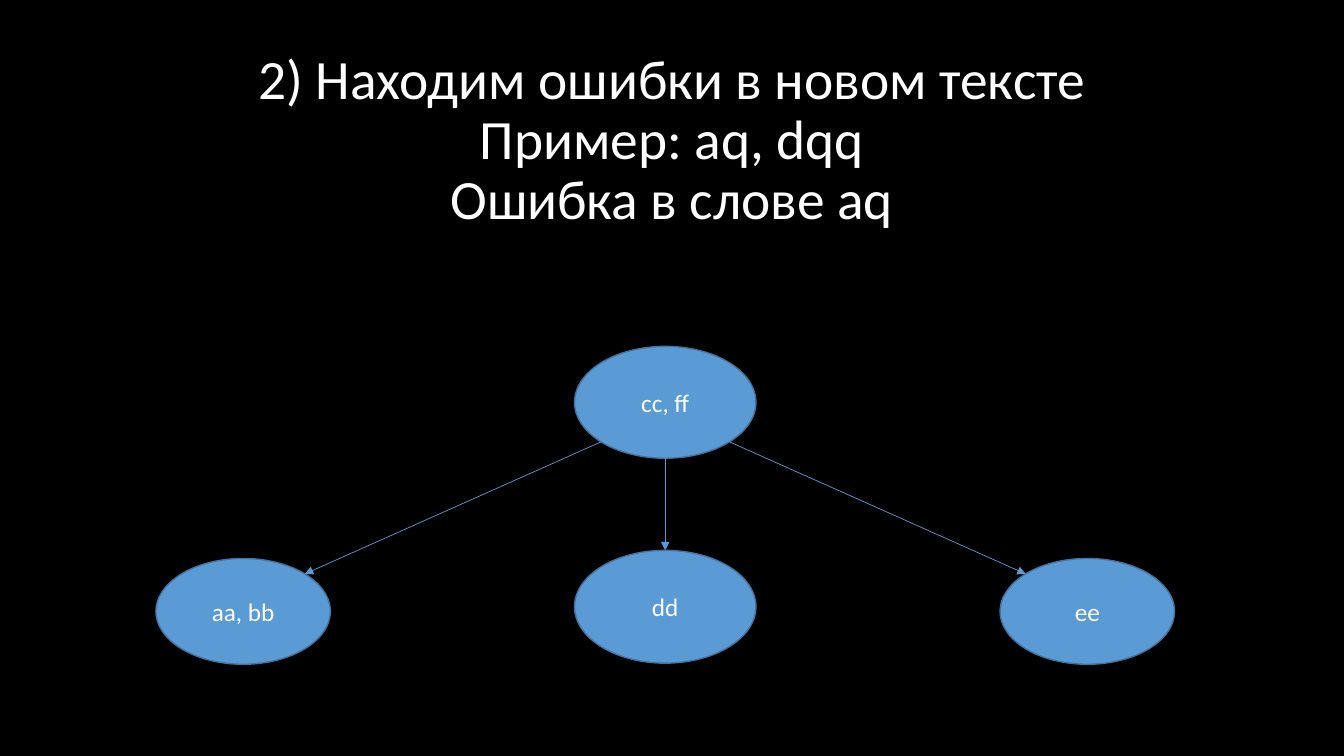
from dataclasses import dataclass
from math import sqrt

from lxml import etree
from pptx import Presentation
from pptx.dml.color import RGBColor
from pptx.enum.shapes import MSO_CONNECTOR, MSO_SHAPE
from pptx.enum.text import MSO_ANCHOR, MSO_AUTO_SIZE, PP_ALIGN
from pptx.oxml.ns import qn
from pptx.util import Pt

ELLIPSE = MSO_SHAPE.OVAL
STRAIGHT = MSO_CONNECTOR.STRAIGHT
MIDDLE = MSO_ANCHOR.MIDDLE
CENTER = PP_ALIGN.CENTER
NO_AUTOFIT = MSO_AUTO_SIZE.NONE
TITLE_ONLY = 5
DIAGONAL = sqrt(0.5)


@dataclass(frozen=True)
class Theme:
    background: RGBColor = RGBColor(0x00, 0x00, 0x00)
    text: RGBColor = RGBColor(0xFF, 0xFF, 0xFF)
    node: RGBColor = RGBColor(0x5B, 0x9B, 0xD5)
    outline: RGBColor = RGBColor(0x43, 0x73, 0x9E)
    font: str = "Calibri"
    title_size: float = 39.6
    node_size: float = 18


THEME = Theme()


def format_text(text_frame, size):
    text_frame.word_wrap = True
    text_frame.auto_size = NO_AUTOFIT
    text_frame.vertical_anchor = MIDDLE
    for paragraph in text_frame.paragraphs:
        paragraph.alignment = CENTER
        for run in paragraph.runs:
            run.font.name = THEME.font
            run.font.size = Pt(size)
            run.font.color.rgb = THEME.text


def set_title(slide, lines):
    title = slide.shapes.title
    title.left, title.top = Pt(66), Pt(49)
    title.width, title.height = Pt(828), Pt(104.4)
    title.text_frame.text = "\v".join(lines)
    title.text_frame.paragraphs[0].line_spacing = 0.9
    format_text(title.text_frame, THEME.title_size)


def add_node(slide, text, center_x, top, width, height):
    node = slide.shapes.add_shape(
        ELLIPSE, Pt(center_x - width / 2), Pt(top), Pt(width), Pt(height))
    node.shadow.inherit = False
    node.fill.solid()
    node.fill.fore_color.rgb = THEME.node
    node.line.color.rgb = THEME.outline
    node.line.width = Pt(1)
    node.text_frame.text = text
    format_text(node.text_frame, THEME.node_size)
    return node


def rim_point(node, across, down):
    """Point on the ellipse in the direction (across, down) from its centre."""
    return (round(node.left + node.width / 2 * (1 + across)),
            round(node.top + node.height / 2 * (1 + down)))


def add_arrow(slide, parent, child, side):
    """Join parent to child; side is -1 for left, 0 for below, 1 for right."""
    across = side * DIAGONAL
    down = DIAGONAL if side else 1
    arrow = slide.shapes.add_connector(
        STRAIGHT, *rim_point(parent, across, down),
        *rim_point(child, -across, -down))
    arrow.line.color.rgb = THEME.node
    arrow.line.width = Pt(0.5)
    etree.SubElement(arrow.line._get_or_add_ln(), qn("a:tailEnd"), type="triangle")
    etree.SubElement(arrow._element.spPr, qn("a:effectLst"))


def main():
    presentation = Presentation()
    presentation.slide_width, presentation.slide_height = Pt(960), Pt(540)
    slide = presentation.slides.add_slide(presentation.slide_layouts[TITLE_ONLY])
    slide.background.fill.solid()
    slide.background.fill.fore_color.rgb = THEME.background

    set_title(slide, ["2) Находим ошибки в новом тексте",
                      "Пример: aq, dqq",
                      "Ошибка в слове aq"])

    tree_center, branch_offset = 475.2, 301.5
    root = add_node(slide, "cc, ff", tree_center, 247.4, 129.6, 79.9)
    leaves = [
        (-1, "aa, bb", 398.9, 124.6, 75.6),
        (0, "dd", 393.1, 129.6, 80.6),
        (1, "ee", 398.9, 124.6, 75.6),
    ]
    for side, text, top, width, height in leaves:
        center_x = tree_center + side * branch_offset
        leaf = add_node(slide, text, center_x, top, width, height)
        add_arrow(slide, root, leaf, side)

    presentation.save("out.pptx")


if __name__ == "__main__":
    main()
